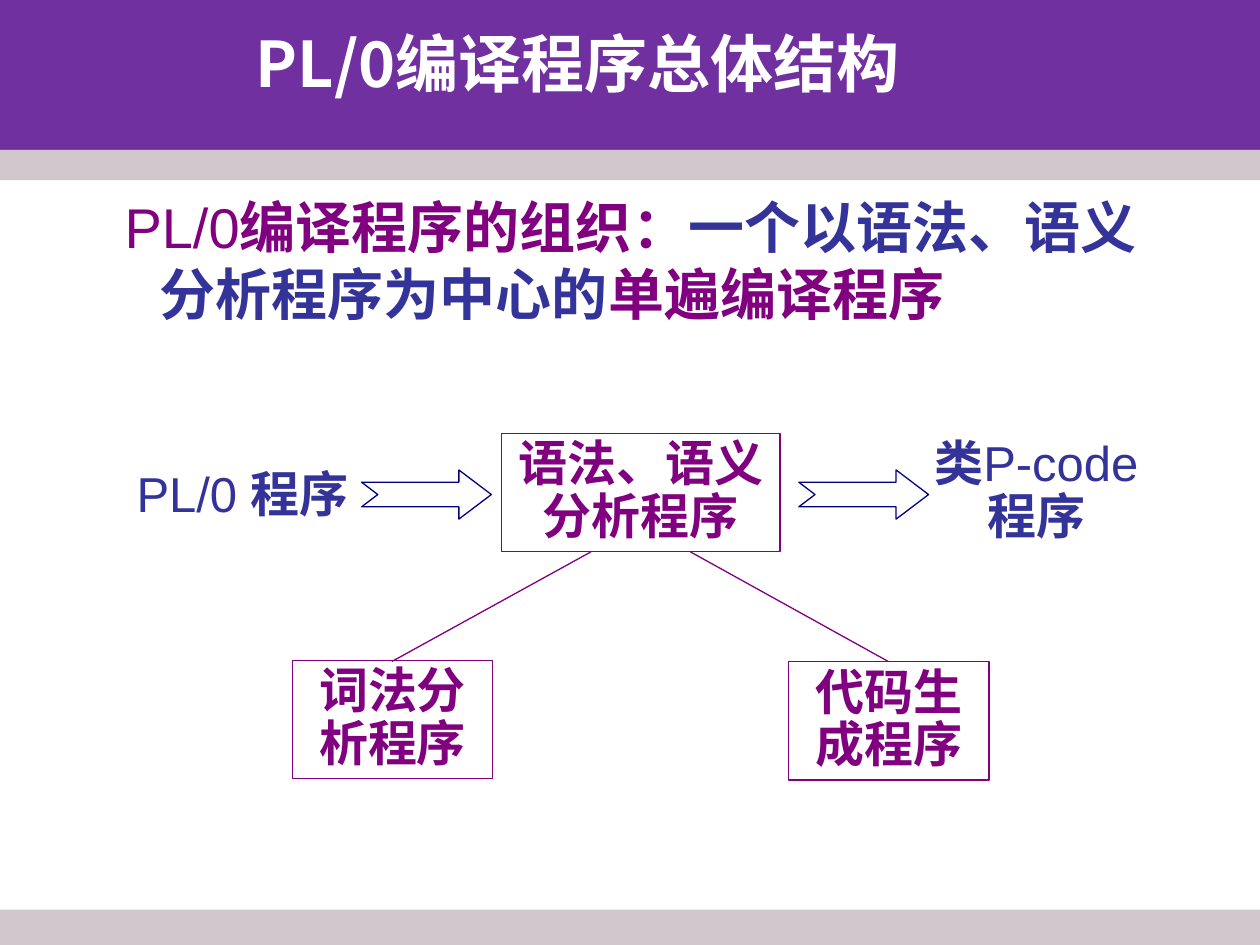
from typing import NamedTuple

from lxml.etree import SubElement
from pptx import Presentation
from pptx.dml.color import RGBColor
from pptx.enum.shapes import MSO_CONNECTOR, MSO_SHAPE
from pptx.enum.text import MSO_ANCHOR, PP_ALIGN
from pptx.oxml.ns import qn
from pptx.util import Inches, Pt

VIOLET = RGBColor(0x70, 0x30, 0xA0)
MAUVE = RGBColor(0xD3, 0xC7, 0xCE)
WHITE = RGBColor(0xFF, 0xFF, 0xFF)
PURPLE = RGBColor(0x80, 0x00, 0x80)
INDIGO = RGBColor(0x33, 0x33, 0x99)
NAVY = RGBColor(0x00, 0x00, 0x80)
LATIN, HAN = "Arial", "Noto Sans CJK SC"
COLS, ROWS = 100, 75

deck = Presentation()
deck.slide_width, deck.slide_height = Inches(10), Inches(7.5)
COL, ROW = deck.slide_width / COLS, deck.slide_height / ROWS
slide = deck.slides.add_slide(deck.slide_layouts[6])
shapes = slide.shapes


class Area(NamedTuple):
    """A place on the grid: columns across, rows down."""
    col: float
    row: float
    wide: float
    high: float

    def emu(self) -> tuple[int, ...]:
        steps = (COL, ROW, COL, ROW)
        return tuple(round(n * s) for n, s in zip(self, steps))


class Run(NamedTuple):
    text: str
    color: RGBColor
    bold: bool = True


class Para(NamedTuple):
    runs: list[Run]
    indent: float = 0


class Label(NamedTuple):
    area: Area
    paras: list[Para]
    size: int = 28
    font: str = LATIN
    align: PP_ALIGN = PP_ALIGN.CENTER
    space: float = 0.9


class Link(NamedTuple):
    start: tuple[float, float]
    end: tuple[float, float]


def put(kind: MSO_SHAPE, area: Area, fill: RGBColor | None = None,
        line: RGBColor | None = None):
    shape = shapes.add_shape(kind, *area.emu())
    shape.shadow.inherit = False
    for part, color in ((shape.fill, fill), (shape.line.fill, line)):
        if color is None:
            part.background()
        else:
            part.solid()
            part.fore_color.rgb = color
    if line is not None:
        shape.line.width = Pt(0.75)
    return shape


def write(shape, label: Label) -> None:
    frame = shape.text_frame
    layout = {"word_wrap": True, "vertical_anchor": MSO_ANCHOR.TOP}
    for name, value in layout.items():
        setattr(frame, name, value)
    for i, para in enumerate(label.paras):
        p = frame.add_paragraph() if i else frame.paragraphs[0]
        p.alignment, p.line_spacing = label.align, label.space
        if para.indent:
            p._p.get_or_add_pPr().set("marL", str(round(para.indent * COL)))
        for run in para.runs:
            r = p.add_run()
            r.text = run.text
            look = {"size": Pt(label.size), "bold": run.bold, "name": label.font}
            for name, value in look.items():
                setattr(r.font, name, value)
            r.font.color.rgb = run.color
            SubElement(r._r.get_or_add_rPr(), qn("a:ea"), typeface=HAN)


def join(link: Link) -> None:
    (x1, y1), (x2, y2) = link
    ends = (round(v) for v in (x1 * COL, y1 * ROW, x2 * COL, y2 * ROW))
    line = shapes.add_connector(MSO_CONNECTOR.STRAIGHT, *ends)
    line.line.color.rgb, line.line.width = PURPLE, Pt(0.75)
    SubElement(line._element.spPr, qn("a:effectLst"))


BANDS = [
    (Area(0, 0, COLS, 13.1), VIOLET),
    (Area(0, 11.9, COLS, 2.4), MAUVE),
    (Area(0, 72.2, COLS, 2.8), MAUVE),
]
TEXTS = [
    Label(Area(16.5, 2.1, 58.7, 6.4),
          [Para([Run("PL/0编译程序总体结构", WHITE)])], size=36, font=HAN),
    Label(Area(6.7, 14.8, 90.2, 11.7), [
        Para([Run("PL/0", PURPLE, False), Run("编译程序的组织：", PURPLE),
              Run("一个以语法、语义", INDIGO)], indent=2.2),
        Para([Run("分析程序为中心的", INDIGO), Run("单遍编译程序", PURPLE)],
             indent=5),
    ], size=32, align=PP_ALIGN.LEFT, space=1.0),
    Label(Area(9, 36.8, 20.5, 5.2),
          [Para([Run("PL/0 ", INDIGO, False), Run("程序", INDIGO)])]),
    Label(Area(72, 34.4, 20.5, 9.4),
          [Para([Run("类", INDIGO), Run("P-code", INDIGO, False),
                 Run("程序", INDIGO)])]),
]
BOXES = [
    (Area(39.8, 34.4, 22.1, 9.4), "语法、语义分析程序"),
    (Area(23.2, 52.4, 15.9, 9.4), "词法分析程序"),
    (Area(62.6, 52.5, 15.9, 9.4), "代码生成程序"),
]
ARROWS = [Area(col, 37.3, 10.3, 3.9) for col in (28.7, 63.4)]
LINKS = [Link((31.1, 52.5), (46.9, 43.8)), Link((54.8, 43.8), (70.5, 52.5))]

for area, color in BANDS:
    put(MSO_SHAPE.RECTANGLE, area, color)
for label in TEXTS:
    write(shapes.add_textbox(*label.area.emu()), label)
for area in ARROWS:
    arrow = put(MSO_SHAPE.NOTCHED_RIGHT_ARROW, area, WHITE, NAVY)
    arrow.adjustments[0], arrow.adjustments[1] = 0.5, 0.66
for area, text in BOXES:
    box = put(MSO_SHAPE.RECTANGLE, area, line=PURPLE)
    write(box, Label(area, [Para([Run(text, PURPLE)])]))
for link in LINKS:
    join(link)

deck.save("out.pptx")
